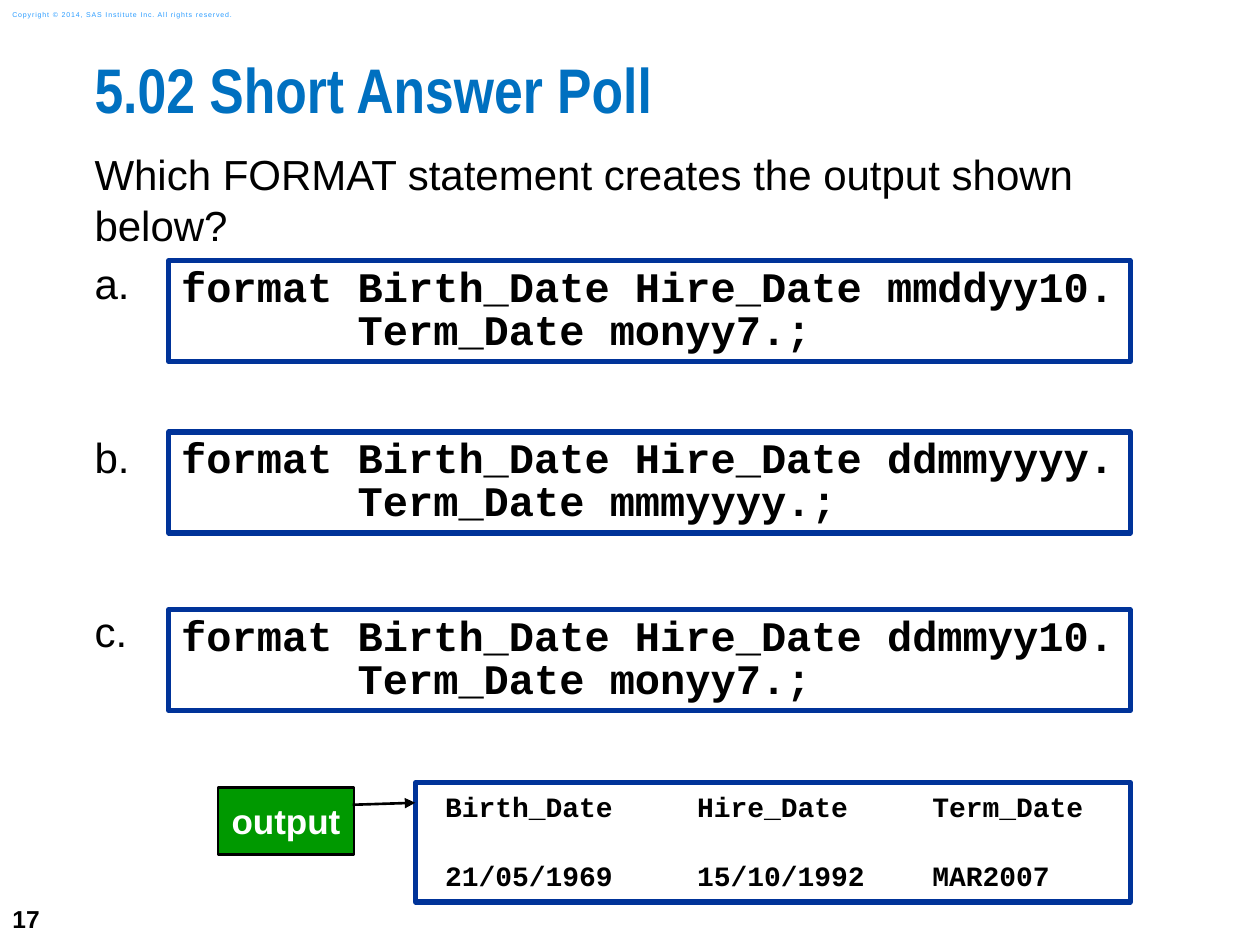
"""Build the short answer poll slide on FORMAT statements."""
import dataclasses
import typing

import lxml.etree
import pptx
import pptx.dml.color
import pptx.enum.shapes
import pptx.enum.text
import pptx.oxml.ns
import pptx.util

Rgb = pptx.dml.color.RGBColor
Anchor = pptx.enum.text.MSO_ANCHOR
Align = pptx.enum.text.PP_ALIGN
Preset = pptx.enum.shapes.MSO_SHAPE


@dataclasses.dataclass(frozen=True)
class Theme:
    cell: float = 0.1
    columns: int = 100
    rows: int = 75
    black: Rgb = Rgb(0, 0, 0)
    white: Rgb = Rgb(255, 255, 255)
    title_blue: Rgb = Rgb.from_string("0070C0")
    notice_blue: Rgb = Rgb.from_string("2A9CFF")
    border_blue: Rgb = Rgb.from_string("003399")
    label_green: Rgb = Rgb.from_string("009900")
    sans: str = "Arial"
    narrow: str = "Arial Narrow"
    mono: str = "Courier New"
    title_size: int = 36
    body_size: int = 24
    label_size: int = 20
    output_size: int = 16
    number_size: int = 14
    notice_size: int = 4


class Frame(typing.NamedTuple):
    column: float
    row: float
    columns: float
    rows: float


class Style(typing.NamedTuple):
    font: str
    size: float
    color: Rgb
    bold: bool = False
    spacing: float = 1.0


class Option(typing.NamedTuple):
    letter: str
    row: float
    space_before: float
    code: tuple[str, str]


THEME = Theme()
BODY = Style(THEME.sans, THEME.body_size, THEME.black)
CODE = Style(THEME.mono, THEME.body_size, THEME.black, True, 0.85)
OUTPUT = Style(THEME.mono, THEME.output_size, THEME.black, True)
QUESTION = "Which FORMAT statement creates the output shown below?"
OPTIONS = (
    Option("a.", 20.7, 4.5, ("format Birth_Date Hire_Date mmddyy10.", "       Term_Date monyy7.;")),
    Option("b.", 34.3, 70.7, ("format Birth_Date Hire_Date ddmmyyyy.", "       Term_Date mmmyyyy.;")),
    Option("c.", 48.4, 70.7, ("format Birth_Date Hire_Date ddmmyy10.", "       Term_Date monyy7.;")),
)
OUTPUT_ROWS = (
    ("Birth_Date", "Hire_Date", "Term_Date"),
    ("21/05/1969", "15/10/1992", "MAR2007"),
)
OUTPUT_TABS = (20, 38.67)


def length(cells: float) -> pptx.util.Length:
    """Turn grid cells into a length."""
    return pptx.util.Inches(cells * THEME.cell)


def prepare(box: typing.Any, insets: tuple[float, ...], anchor: Anchor = Anchor.TOP, wrap: bool = True) -> None:
    """Set the margins, anchor and wrapping of a text frame."""
    frame = box.text_frame
    frame.margin_left, frame.margin_top, frame.margin_right, frame.margin_bottom = map(length, insets)
    frame.vertical_anchor = anchor
    frame.word_wrap = wrap


def write(box: typing.Any, text: str, style: Style, before: float = 0, align: Align = Align.LEFT) -> typing.Any:
    """Add one styled paragraph and return it."""
    first = box.text_frame.paragraphs[0]
    para = box.text_frame.add_paragraph() if first.runs else first
    para.alignment = align
    para.line_spacing = style.spacing
    para.space_before = pptx.util.Pt(before)
    span = para.add_run()
    span.text = text
    span.font.name = style.font
    span.font.size = pptx.util.Pt(style.size)
    span.font.bold = style.bold
    span.font.color.rgb = style.color
    return para


def add_text(page: typing.Any, frame: Frame, insets: tuple[float, ...], anchor: Anchor = Anchor.TOP,
             wrap: bool = True) -> typing.Any:
    """Add an empty text box."""
    box = page.shapes.add_textbox(*map(length, frame))
    prepare(box, insets, anchor, wrap)
    return box


def add_panel(page: typing.Any, frame: Frame, insets: tuple[float, ...], preset: Preset = Preset.RECTANGLE,
              fill: Rgb = THEME.white, line: Rgb = THEME.border_blue, width: float = 3,
              anchor: Anchor = Anchor.TOP) -> typing.Any:
    """Add an outlined shape ready for text."""
    box = page.shapes.add_shape(preset, *map(length, frame))
    box.shadow.inherit = False
    box.fill.solid()
    box.fill.fore_color.rgb = fill
    box.line.color.rgb = line
    box.line.width = pptx.util.Pt(width)
    prepare(box, insets, anchor)
    return box


def add_tabs(para: typing.Any) -> None:
    """Give a paragraph the tab stops of the output columns."""
    tabs = lxml.etree.SubElement(para._p.get_or_add_pPr(), pptx.oxml.ns.qn("a:tabLst"))
    for stop in OUTPUT_TABS:
        lxml.etree.SubElement(tabs, pptx.oxml.ns.qn("a:tab"), pos=str(length(stop)), algn="l")


def add_output(page: typing.Any) -> None:
    """Draw the output listing and the callout that points to it."""
    panel = add_panel(page, Frame(33, 62.1, 56.7, 9.5), (2.33, 0.6, 1, 0.6))
    for index, cells in enumerate(OUTPUT_ROWS):
        add_tabs(write(panel, "\t".join(cells), OUTPUT, index * 20))
    callout = add_panel(page, Frame(17.3, 62.5, 10.8, 5.3), (1, 1, 1, 1), Preset.LINE_CALLOUT_1,
                        THEME.label_green, THEME.black, 1.5, Anchor.MIDDLE)
    for index, share in enumerate((0.26, 0.99, 0.23, 1.45)):
        callout.adjustments[index] = share
    lxml.etree.SubElement(callout.line._get_or_add_ln(), pptx.oxml.ns.qn("a:tailEnd"), type="triangle")
    write(callout, "output", Style(THEME.sans, THEME.label_size, THEME.white, True), align=Align.CENTER)


def main() -> None:
    """Create the deck and save it."""
    deck = pptx.Presentation()
    deck.slide_width, deck.slide_height = length(THEME.columns), length(THEME.rows)
    page = deck.slides.add_slide(deck.slide_layouts[6])

    number = add_text(page, Frame(0, 70.8, 5.8, 4.2), (1, 0.5, 1, 0.5), Anchor.MIDDLE, False)
    write(number, "17", Style(THEME.sans, THEME.number_size, THEME.black, True))
    notice = add_text(page, Frame(0, 0.3, 21.1, 1.7), (1, 0.5, 1, 0.5), Anchor.MIDDLE)
    line = write(notice, "Copyright © 2014, SAS Institute Inc. All rights reserved.",
                 Style(THEME.sans, THEME.notice_size, THEME.notice_blue))
    line.runs[0]._r.get_or_add_rPr().set("spc", "50")
    title = add_text(page, Frame(7.5, 5, 92.5, 7.4), (0, 0, 0, 0))
    write(title, "5.02 Short Answer Poll", Style(THEME.narrow, THEME.title_size, THEME.title_blue, True, 0.83))

    body = add_text(page, Frame(7.5, 11.8, 85.8, 46.6), (0, 0, 0, 0))
    write(body, QUESTION, BODY)
    for option in OPTIONS:
        write(body, option.letter, BODY, option.space_before)
        panel = add_panel(page, Frame(13.4, option.row, 76.3, 8), (1, 0.6, 0.6, 0.6))
        for code in option.code:
            write(panel, code, CODE)
    add_output(page)
    deck.save("out.pptx")


if __name__ == "__main__":
    main()
